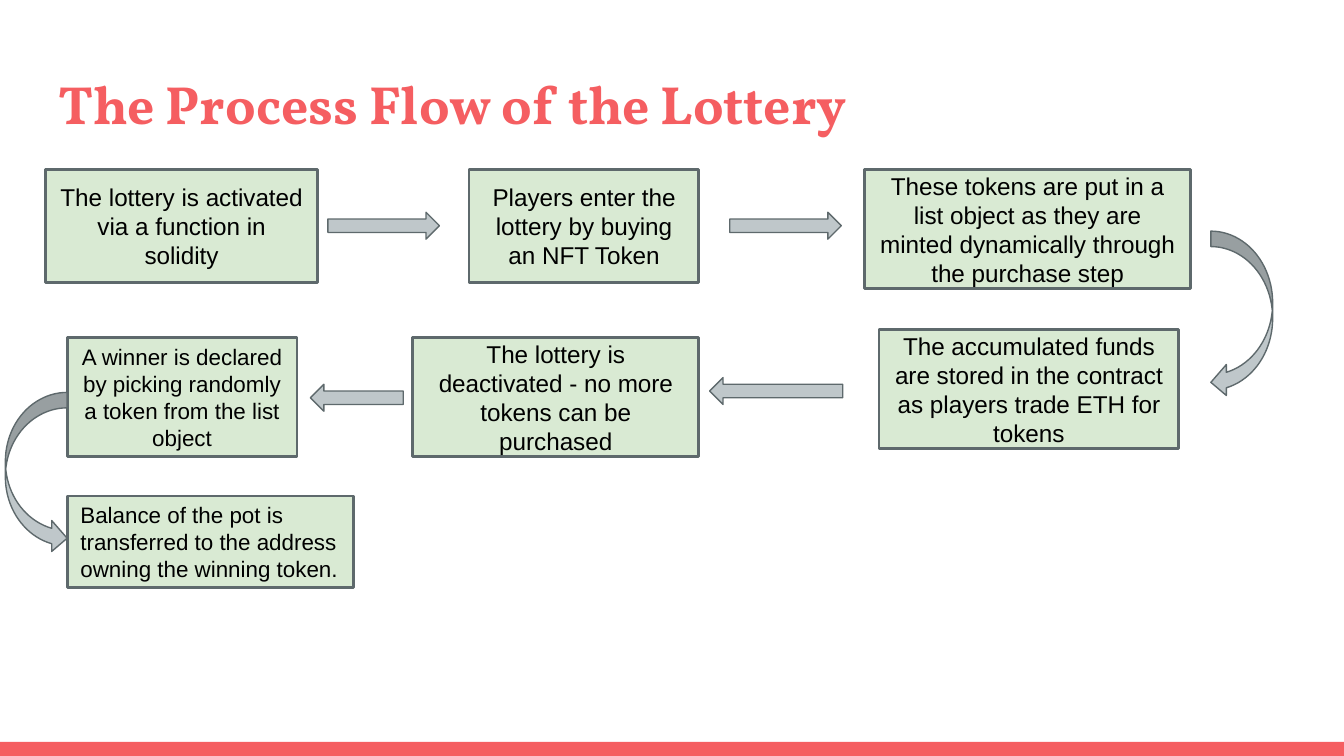
from itertools import zip_longest

from pptx import Presentation
from pptx.dml.color import RGBColor
from pptx.enum.shapes import MSO_SHAPE as Shape
from pptx.enum.text import MSO_ANCHOR as Anchor, PP_ALIGN as Align
from pptx.util import Inches, Pt

CORAL, GREEN, GREY, SLATE, BLACK = "F55E61", "D9EAD3", "BFC7CA", "5E696C", "000000"


def add_filled_shape(kind, bounds, fill, line_width=0):
    shape = slide.shapes.add_shape(kind, *map(Inches, bounds))
    shape.shadow.inherit = False
    shape.fill.solid()
    shape.fill.fore_color.rgb = RGBColor.from_string(fill)
    if line_width:
        shape.line.color.rgb = RGBColor.from_string(SLATE)
        shape.line.width = Pt(line_width)
    else:
        shape.line.fill.background()
    return shape


def write_text(shape, text, anchor, alignment, color, font_format):
    frame = shape.text_frame
    frame_format = {"word_wrap": True, "vertical_anchor": anchor}
    for side in ("left", "top", "right", "bottom"):
        frame_format[f"margin_{side}"] = Inches(0.1)
    for name, value in frame_format.items():
        setattr(frame, name, value)
    paragraph = frame.paragraphs[0]
    paragraph.alignment = alignment
    run = paragraph.add_run()
    run.text = text
    for name, value in font_format.items():
        setattr(run.font, name, value)
    run.font.color.rgb = RGBColor.from_string(color)


presentation = Presentation()
presentation.slide_width = Inches(10)
presentation.slide_height = Inches(10) * 9 // 16
slide = presentation.slides.add_slide(presentation.slide_layouts[6])

add_filled_shape(Shape.RECTANGLE, (0, 5.52, 10, 0.11), CORAL)

title = slide.shapes.add_textbox(*map(Inches, (0.34, 0.43, 9.32, 0.68)))
write_text(title, "The Process Flow of the Lottery", Anchor.TOP, Align.LEFT, CORAL,
           {"name": "Vollkorn", "size": Pt(28.8), "bold": True})

# Each step: box bounds, text, font size, alignment
steps = [
    ((0.34, 1.26, 2.02, 0.84),
     "The lottery is activated via a function in solidity", 13, Align.CENTER),
    ((3.49, 1.26, 1.71, 0.84),
     "Players enter the lottery by buying an NFT Token", 13, Align.CENTER),
    ((6.43, 1.26, 2.43, 0.89),
     "These tokens are put in a list object as they are minted dynamically "
     "through the purchase step", 13, Align.CENTER),
    ((6.54, 2.45, 2.23, 0.89),
     "The accumulated funds are stored in the contract as players trade ETH "
     "for tokens", 13, Align.CENTER),
    ((3.07, 2.51, 2.13, 0.89),
     "The lottery is deactivated - no more tokens can be purchased", 13, Align.CENTER),
    ((0.5, 2.51, 1.71, 0.89),
     "A winner is declared by picking randomly a token from the list object",
     12, Align.CENTER),
    ((0.5, 3.69, 2.13, 0.68),
     "Balance of the pot is transferred to the address owning the winning token.",
     12, Align.LEFT),
]

# Each arrow leads from the step of the same index to the next one
arrows = [
    (Shape.RIGHT_ARROW, (2.44, 1.58, 0.83, 0.2)),
    (Shape.RIGHT_ARROW, (5.43, 1.58, 0.83, 0.2)),
    (Shape.CURVED_LEFT_ARROW, (9.01, 1.72, 0.46, 1.24)),
    (Shape.LEFT_ARROW, (5.28, 2.81, 0.99, 0.2)),
    (Shape.LEFT_ARROW, (2.31, 2.86, 0.69, 0.2)),
    (Shape.CURVED_RIGHT_ARROW, (0.04, 2.92, 0.46, 1.2)),
]

for (bounds, text, size, alignment), arrow in zip_longest(steps, arrows):
    box = add_filled_shape(Shape.RECTANGLE, bounds, GREEN, 1.5)
    write_text(box, text, Anchor.MIDDLE, alignment, BLACK,
               {"name": "Arial", "size": Pt(size)})
    if arrow:
        add_filled_shape(*arrow, GREY, 0.75)

presentation.save("out.pptx")
